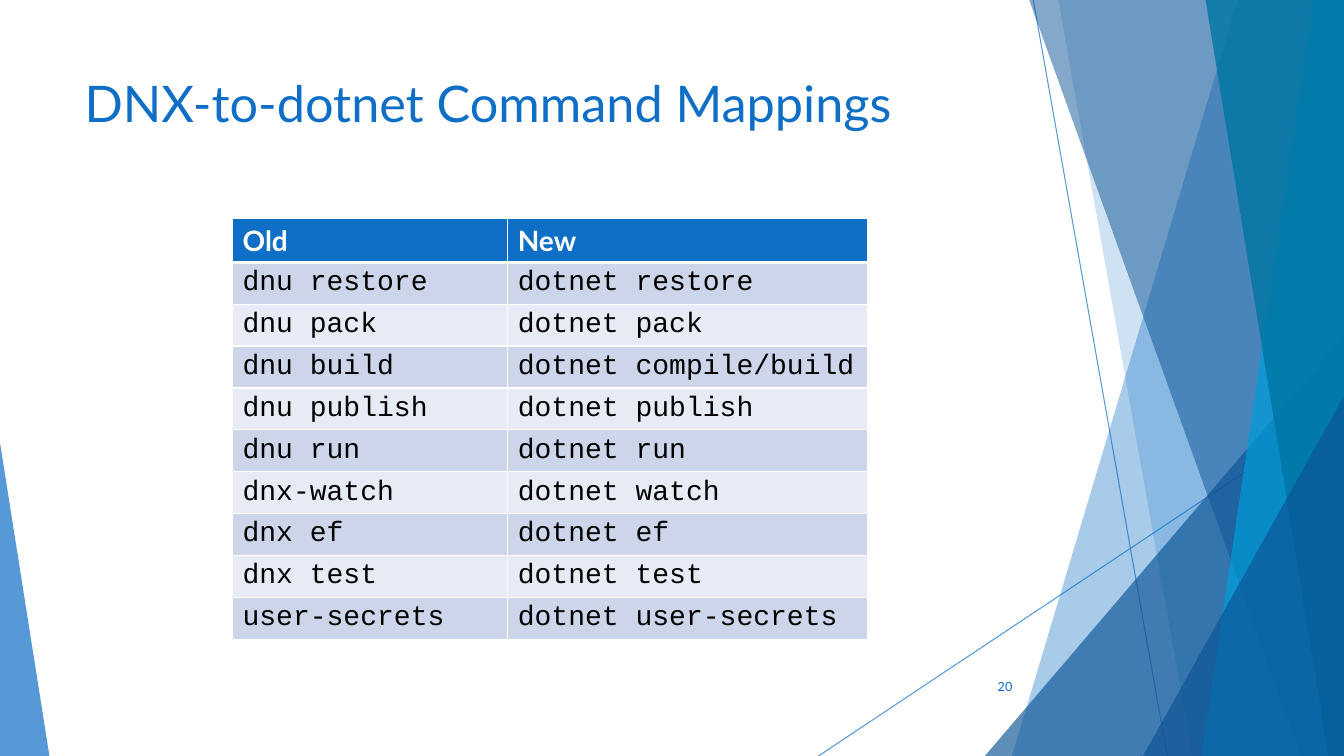
"""Builds the slide that maps old DNX commands to dotnet commands."""
from dataclasses import dataclass
from typing import NamedTuple

from lxml import etree
from pptx import Presentation
from pptx import util as u
from pptx.dml import color
from pptx.enum import shapes, text
from pptx.oxml import ns


@dataclass(frozen=True)
class Theme:
    blue: str = "0F6FC6"
    navy: str = "0B5394"
    sky: str = "009DD9"
    teal: str = "0076A3"
    white: str = "FFFFFF"
    black: str = "000000"
    stripes: tuple[str, str] = ("CCD5EA", "E7EBF5")
    sans: str = "Lato"
    mono: str = "Courier New"
    title_size: int = 36
    table_size: int = 20
    number_size: int = 9


class Ray(NamedTuple):
    start: tuple[float, float]
    end: tuple[float, float]


class Band(NamedTuple):
    top_left: float
    bottom_left: float
    colour: str
    opacity: int


class Wedge(NamedTuple):
    left: float
    top: float
    width: float
    apex: int
    colour: str
    opacity: int


THEME = Theme()
WIDTH, HEIGHT = u.Inches(13.33), u.Inches(7.5)
RAYS = [Ray((76.88, 0), (86.85, 100)), Ray((100, 53.73), (60.9, 100))]
FACETS = [
    Band(92.1, 75.3, THEME.blue, 36),
    Band(78.75, 88.73, THEME.blue, 20),
    Wedge(73.28, 44.4, 26.72, 1, THEME.navy, 66),
    Band(76.58, 96.83, THEME.navy, 50),
    Band(97.73, 89.4, THEME.sky, 70),
    Band(89.7, 98.85, THEME.teal, 80),
    Wedge(85.05, 52.4, 14.95, 1, THEME.navy, 66),
    Wedge(0, 58.53, 3.68, 0, THEME.blue, 70),
]
COMMANDS = [
    ("Old", "New"),
    ("dnu restore", "dotnet restore"),
    ("dnu pack", "dotnet pack"),
    ("dnu build", "dotnet compile/build"),
    ("dnu publish", "dotnet publish"),
    ("dnu run", "dotnet run"),
    ("dnx-watch", "dotnet watch"),
    ("dnx ef", "dotnet ef"),
    ("dnx test", "dotnet test"),
    ("user-secrets", "dotnet user-secrets"),
]
COLUMN_SHARES = (20.48, 26.78)
ROW_SHARE = 5.47


def across(share: float) -> int:
    """Turn a percentage of the slide's width into a length."""
    return round(WIDTH * share / 100)


def down(share: float) -> int:
    """Turn a percentage of the slide's height into a length."""
    return round(HEIGHT * share / 100)


def rgb(code: str) -> color.RGBColor:
    """Turn a hexadecimal code into a colour."""
    return color.RGBColor.from_string(code)


def fade(shape, opacity: int) -> None:
    """Make every colour of a shape partly transparent."""
    for tint in shape.element.spPr.iter(ns.qn("a:srgbClr")):
        etree.SubElement(tint, ns.qn("a:alpha"), val=str(opacity * 1000))


def write(frame, words: str, *, size: int, font: str = THEME.sans, colour: str = THEME.blue,
          bold: bool = False, align=text.PP_ALIGN.LEFT, anchor=text.MSO_ANCHOR.TOP) -> None:
    """Write one formatted paragraph into a text frame."""
    frame.word_wrap = True
    frame.vertical_anchor = anchor
    para = frame.paragraphs[0]
    para.alignment = align
    span = para.add_run()
    span.text = words
    span.font.size, span.font.name, span.font.bold = u.Pt(size), font, bold
    span.font.color.rgb = rgb(colour)


def draw_ray(page, ray: Ray) -> None:
    """Draw one thin decorative line."""
    line = page.shapes.add_connector(
        shapes.MSO_CONNECTOR.STRAIGHT, across(ray.start[0]), down(ray.start[1]),
        across(ray.end[0]), down(ray.end[1]))
    line.line.width = u.Pt(0.75)
    line.line.color.rgb = rgb(THEME.blue)
    etree.SubElement(line.element.spPr, ns.qn("a:effectLst"))
    fade(line, 70)


def draw_facet(page, facet: Band | Wedge) -> None:
    """Draw one translucent band or wedge."""
    if isinstance(facet, Band):
        outline = page.shapes.build_freeform(across(facet.top_left), 0)
        outline.add_line_segments(
            [(WIDTH, 0), (WIDTH, HEIGHT), (across(facet.bottom_left), HEIGHT)], close=True)
        shape = outline.convert_to_shape()
    else:
        shape = page.shapes.add_shape(
            shapes.MSO_SHAPE.ISOSCELES_TRIANGLE, across(facet.left), down(facet.top),
            across(facet.width), down(100 - facet.top))
        shape.adjustments[0] = facet.apex
    shape.shadow.inherit = False
    shape.fill.solid()
    shape.fill.fore_color.rgb = rgb(facet.colour)
    shape.line.fill.background()
    fade(shape, facet.opacity)


def add_borders(cell, widths: dict[str, int]) -> None:
    """Give the named sides of a cell white borders."""
    properties = cell._tc.get_or_add_tcPr()
    for place, (side, points) in enumerate(widths.items()):
        border = etree.Element(ns.qn(f"a:ln{side}"), w=str(u.Pt(points)))
        fill = etree.SubElement(border, ns.qn("a:solidFill"))
        etree.SubElement(fill, ns.qn("a:srgbClr"), val=THEME.white)
        properties.insert(place, border)


def draw_table(page) -> None:
    """Draw the table of old and new commands."""
    table = page.shapes.add_table(
        len(COMMANDS), len(COLUMN_SHARES), across(17.3), down(28.9),
        across(sum(COLUMN_SHARES)), down(ROW_SHARE * len(COMMANDS))).table
    for column, share in zip(table.columns, COLUMN_SHARES):
        column.width = across(share)
    for index, names in enumerate(COMMANDS):
        header = index == 0
        table.rows[index].height = down(ROW_SHARE)
        for cell, name in zip(table.rows[index].cells, names):
            cell.fill.solid()
            cell.fill.fore_color.rgb = rgb(THEME.blue if header else THEME.stripes[(index - 1) % 2])
            add_borders(cell, {"L": 1, "R": 1, "T": 1, "B": 3} if header
                        else {"L": 1, "R": 1, "B": 1})
            write(cell.text_frame, name, size=THEME.table_size, bold=header,
                  font=THEME.sans if header else THEME.mono,
                  colour=THEME.white if header else THEME.black)


def main() -> None:
    """Build the slide and save it."""
    deck = Presentation()
    deck.slide_width, deck.slide_height = WIDTH, HEIGHT
    page = deck.slides.add_slide(deck.slide_layouts[5])
    for ray in RAYS:
        draw_ray(page, ray)
    for facet in FACETS:
        draw_facet(page, facet)
    title = page.shapes.title
    title.left, title.top = across(5.55), down(8.93)
    title.width, title.height = across(70.5), down(19.2)
    write(title.text_frame, "DNX-to-dotnet Command Mappings", size=THEME.title_size)
    draw_table(page)
    number = page.shapes.add_textbox(across(70.43), down(88.13), across(5.63), down(5.33))
    write(number.text_frame, "20", size=THEME.number_size,
          align=text.PP_ALIGN.RIGHT, anchor=text.MSO_ANCHOR.MIDDLE)
    deck.save("out.pptx")


if __name__ == "__main__":
    main()
